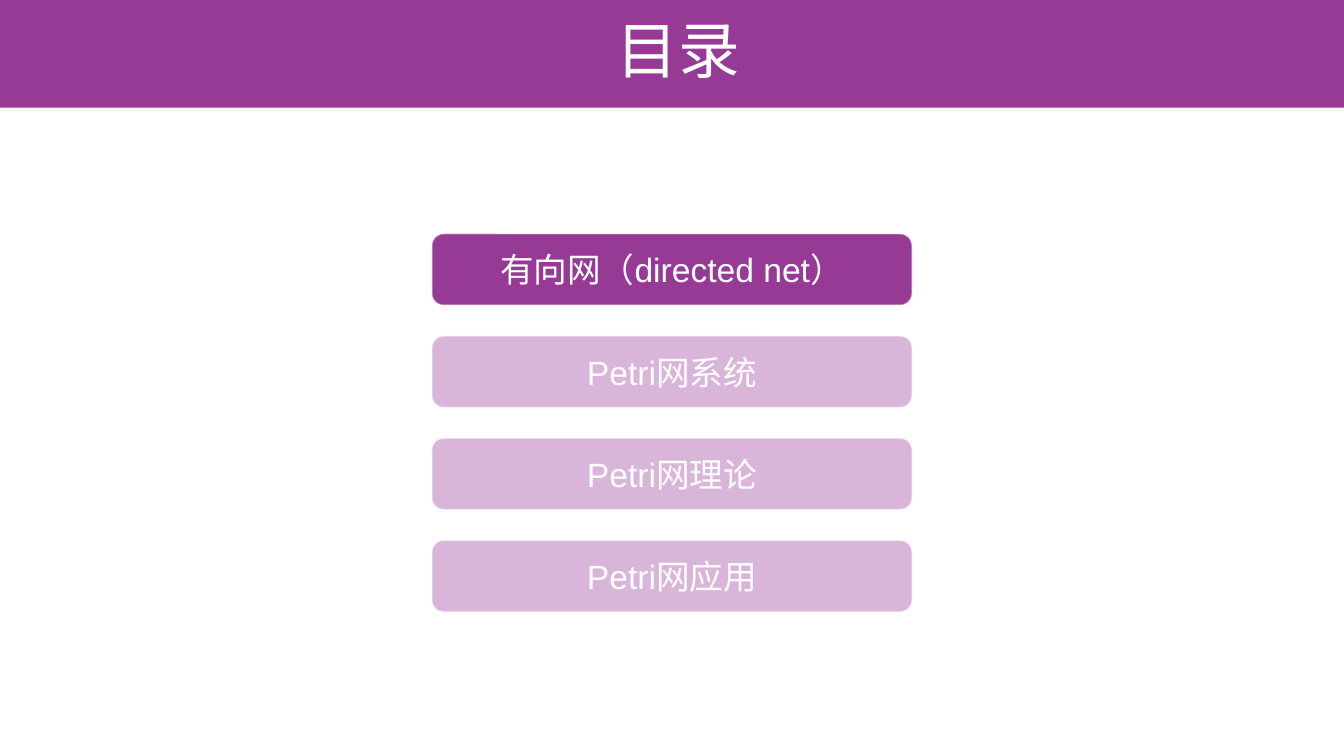
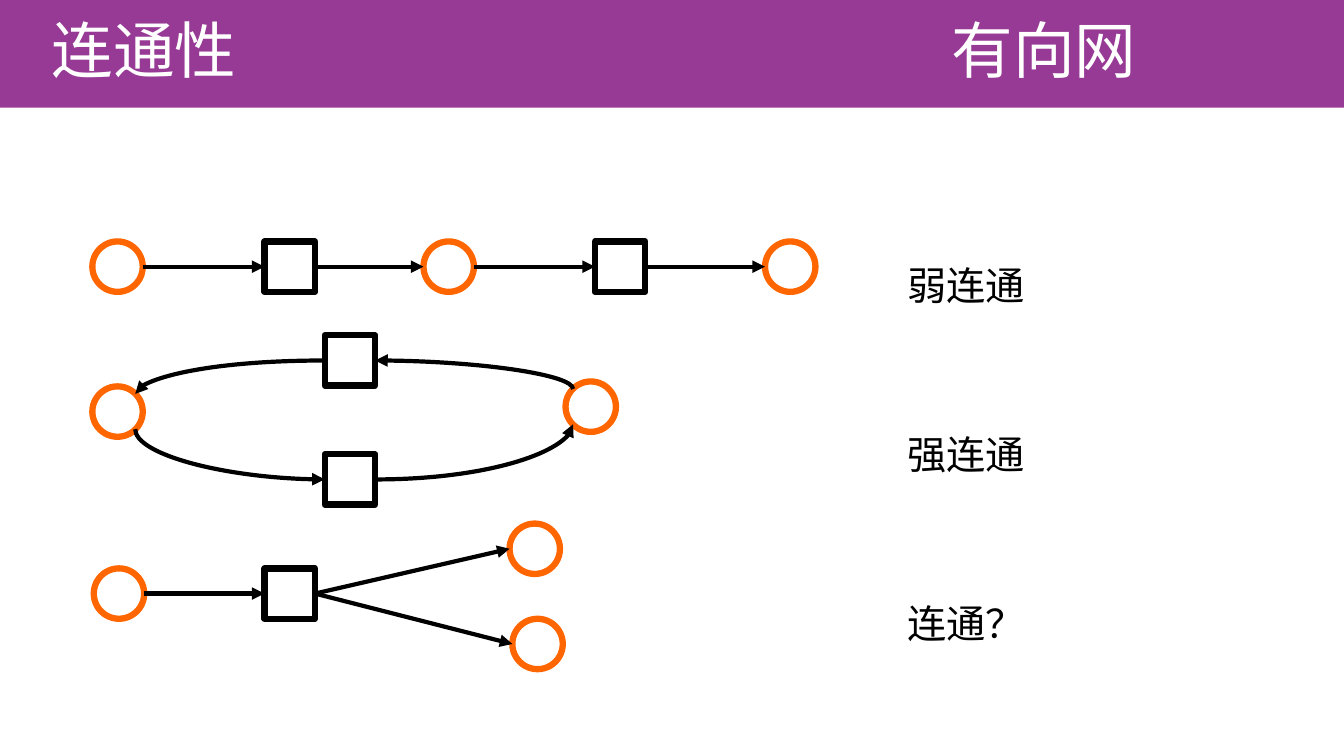
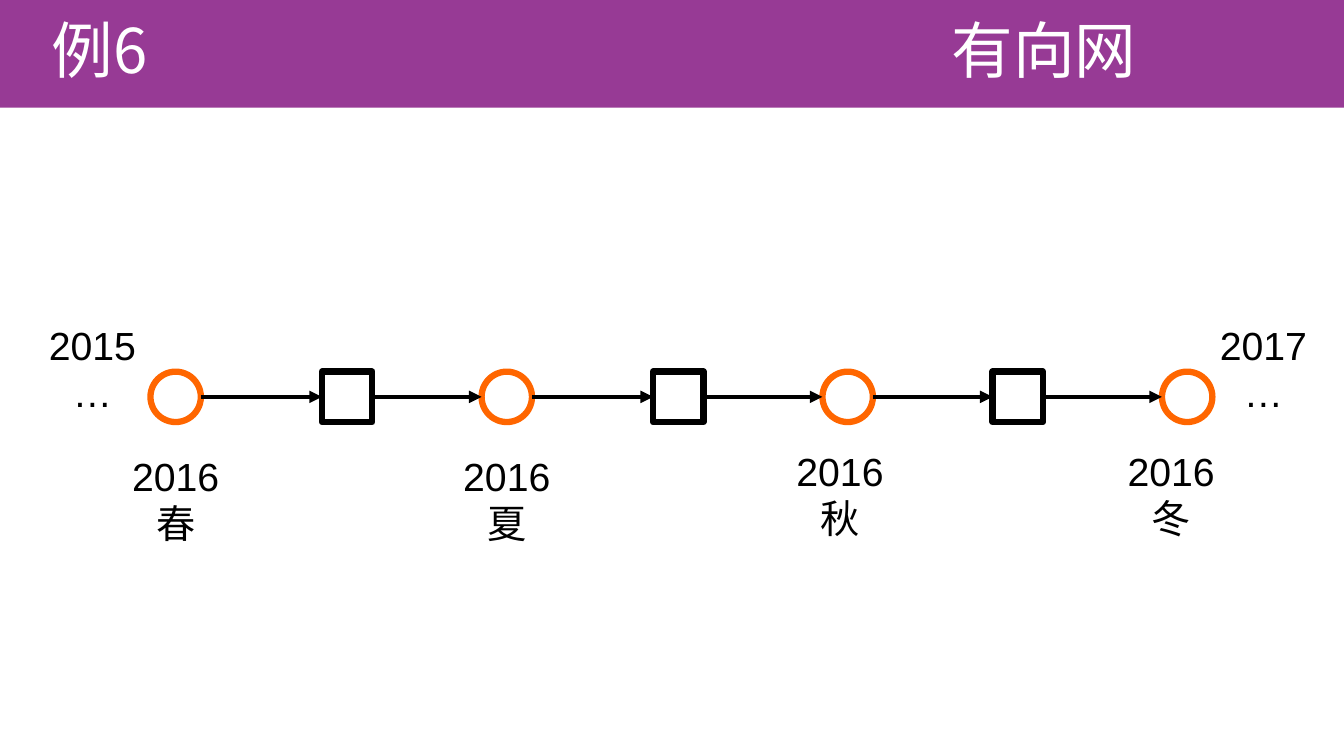
from lxml import etree
from pptx import Presentation
from pptx import util as u
from pptx.dml.color import RGBColor
from pptx.enum import shapes, text
from pptx.oxml.ns import qn

Pt = u.Pt
W, H = 960, 540
BAND_H = 77
NODE = 36
CJK, LATIN = "Noto Sans CJK SC", "Arial"
COLORS = {
    "band": "973A95",
    "faded": "993899",
    "place": "FF6600",
    "ink": "000000",
    "paper": "FFFFFF",
}
CENTER, LEFT, RIGHT = text.PP_ALIGN.CENTER, text.PP_ALIGN.LEFT, text.PP_ALIGN.RIGHT
SHAPE, LINE = shapes.MSO_SHAPE, shapes.MSO_CONNECTOR

# Connection sites: index and offset from the centre, as shares of the node size
DIAG = 0.35
CIRCLE_SITES = {
    "left": (2, -0.5, 0), "right": (6, 0.5, 0),
    "top_left": (1, -DIAG, -DIAG), "bottom_left": (3, -DIAG, DIAG),
    "bottom_right": (5, DIAG, DIAG), "top_right": (7, DIAG, -DIAG),
}
SQUARE_SITES = {"left": (1, -0.5, 0), "right": (3, 0.5, 0)}


def rgb(name):
    return RGBColor.from_string(COLORS[name])


def write(tf, lines, size, color="ink", font=LATIN, align=LEFT, spacing=None):
    tf.word_wrap = True
    tf.auto_size = text.MSO_AUTO_SIZE.NONE
    tf.text = "\n".join(lines)
    for p in tf.paragraphs:
        p.alignment = align
        if spacing:
            p.line_spacing = spacing
        p.font.size = Pt(size)
        p.font.color.rgb = rgb(color)
        p.font.name = font
        props = p._p.pPr.find(qn("a:defRPr"))
        etree.SubElement(props, qn("a:ea"), typeface=CJK)


def place(sp, x, y, w, h):
    sp.left, sp.top, sp.width, sp.height = Pt(x), Pt(y), Pt(w), Pt(h)


def add_box(s, kind, x, y, w, h, fill, line=None, width=1):
    sp = s.shapes.add_shape(kind, Pt(x), Pt(y), Pt(w), Pt(h))
    sp.shadow.inherit = False
    sp.fill.solid()
    sp.fill.fore_color.rgb = rgb(fill)
    if line:
        sp.line.color.rgb = rgb(line)
        sp.line.width = Pt(width)
    else:
        sp.line.fill.background()
    return sp


def set_opacity(sp, fill, line):
    """Set fill and outline opacity, in percent."""
    for color, percent in zip(sp._element.spPr.iter(qn("a:srgbClr")), (fill, line)):
        etree.SubElement(color, qn("a:alpha"), val=str(percent * 1000))


def add_label(s, lines, x, y, w, h, **style):
    tf = s.shapes.add_textbox(Pt(x), Pt(y), Pt(w), Pt(h)).text_frame
    write(tf, lines, 28, **style)
    return tf


def add_band(s, layout):
    """Put the title band on the layout, behind its placeholders."""
    band = add_box(s, SHAPE.RECTANGLE, 0, 0, W, BAND_H, "band")
    layout.shapes.element.insert(2, band._element)


def style_title(tf, words, align):
    write(tf, [words], 44, "paper", CJK, align, 0.9)
    tf.vertical_anchor = text.MSO_ANCHOR.MIDDLE


def set_title(s, words, x, w, align):
    place(s.shapes.title, x, 0, w, BAND_H)
    style_title(s.shapes.title.text_frame, words, align)


def add_topic_slide(prs, layout, topic):
    s = prs.slides.add_slide(layout)
    set_title(s, "有向网", 579, 240, RIGHT)
    tf = s.shapes.add_textbox(0, 0, Pt(400), Pt(BAND_H)).text_frame
    tf.margin_left = Pt(37)
    style_title(tf, topic, LEFT)
    return s


def add_node(s, kind, color, sites, x, y):
    """Draw a net node centred on x, y; return it with its connection sites."""
    sp = add_box(s, kind, x - NODE / 2, y - NODE / 2, NODE, NODE, "paper", color, 4.5)
    points = {name: (i, x + dx * NODE, y + dy * NODE)
              for name, (i, dx, dy) in sites.items()}
    return sp, points


def add_circle(s, x, y):
    return add_node(s, SHAPE.OVAL, "place", CIRCLE_SITES, x, y)


def add_square(s, x, y):
    return add_node(s, SHAPE.RECTANGLE, "ink", SQUARE_SITES, x, y)


def add_link(s, a, b, a_site="right", b_site="left", curved=False, arrow="tailEnd"):
    """Join two nodes; tailEnd puts the arrowhead at b, headEnd at a."""
    (a_sp, a_points), (b_sp, b_points) = a, b
    (i, x1, y1), (j, x2, y2) = a_points[a_site], b_points[b_site]
    c = s.shapes.add_connector(LINE.CURVE if curved else LINE.STRAIGHT,
                               Pt(x1), Pt(y1), Pt(x2), Pt(y2))
    c.line.color.rgb = rgb("ink")
    c.line.width = Pt(3)
    el = c._element
    if curved:
        el.spPr.find(qn("a:prstGeom")).set("prst", "curvedConnector2")
    etree.SubElement(el.spPr.find(qn("a:ln")), qn("a:" + arrow), type="triangle")
    etree.SubElement(el.spPr, qn("a:effectLst"))
    joints = el.find(".//" + qn("p:cNvCxnSpPr"))
    for tag, sp, site in (("a:stCxn", a_sp, i), ("a:endCxn", b_sp, j)):
        etree.SubElement(joints, qn(tag), id=str(sp.shape_id), idx=str(site))


def add_chain(s, xs, y):
    """Alternate circles and squares along a row, joined by arrows."""
    nodes = [(add_square if i % 2 else add_circle)(s, x, y)
             for i, x in enumerate(xs)]
    for a, b in zip(nodes, nodes[1:]):
        add_link(s, a, b)
    return nodes


def add_loop(s):
    left, right = add_circle(s, 84, 294), add_circle(s, 422, 290.5)
    upper, lower = add_square(s, 250, 257.5), add_square(s, 250, 342.5)
    add_link(s, upper, left, "left", "top_right", True)
    add_link(s, upper, right, "right", "top_left", True, "headEnd")
    add_link(s, lower, left, "left", "bottom_right", True, "headEnd")
    add_link(s, lower, right, "right", "bottom_left", True)


def build_contents(prs, layout):
    s = prs.slides.add_slide(layout)
    add_band(s, layout)
    set_title(s, "目录", 9.5, 950.5, CENTER)
    topics = ["有向网（directed net）", "Petri网系统", "Petri网理论", "Petri网应用"]
    for i, topic in enumerate(topics):
        fill, opacity = ("faded", 37) if i else ("band", 100)
        sp = add_box(s, SHAPE.ROUNDED_RECTANGLE, 308.5, 167 + 73 * i, 343, 51,
                     fill, "paper")
        set_opacity(sp, opacity, 50)
        write(sp.text_frame, [topic], 24, "paper", align=CENTER)
        sp.text_frame.vertical_anchor = text.MSO_ANCHOR.MIDDLE


def build_connectivity(prs, layout):
    s = add_topic_slide(prs, layout, "连通性")
    for i, name in enumerate(["弱连通", "强连通", "连通？"]):
        tf = add_label(s, [name], 641, 180.5 + 120.7 * i, 187, 46)
        tf.vertical_anchor = text.MSO_ANCHOR.MIDDLE
    add_chain(s, [84, 207, 320.5, 443, 564.5], 190.5)
    add_loop(s)
    fork = add_chain(s, [85, 207], 424)[-1]
    for x, y in ((382, 392), (384, 460)):
        add_link(s, fork, add_circle(s, x, y))


def build_seasons(prs, layout):
    s = add_topic_slide(prs, layout, "例6")
    add_chain(s, [125.5, 248, 362, 484.5, 605.5, 727, 848], 283.5)
    labels = [
        ("2015", "…", 66, 226), ("2017", "…", 902.5, 226),
        ("2016", "春", 125.5, 319.5), ("2016", "夏", 362, 319.5),
        ("2016", "秋", 600, 316), ("2016", "冬", 836.5, 316),
    ]
    for year, season, x, y in labels:
        add_label(s, [year, season], x - 41.5, y, 83, 75, align=CENTER)


def main():
    prs = Presentation()
    prs.slide_width, prs.slide_height = Pt(W), Pt(H)
    layout = prs.slide_layouts[5]
    for build in (build_contents, build_connectivity, build_seasons):
        build(prs, layout)
    prs.save("out.pptx")


if __name__ == "__main__":
    main()
